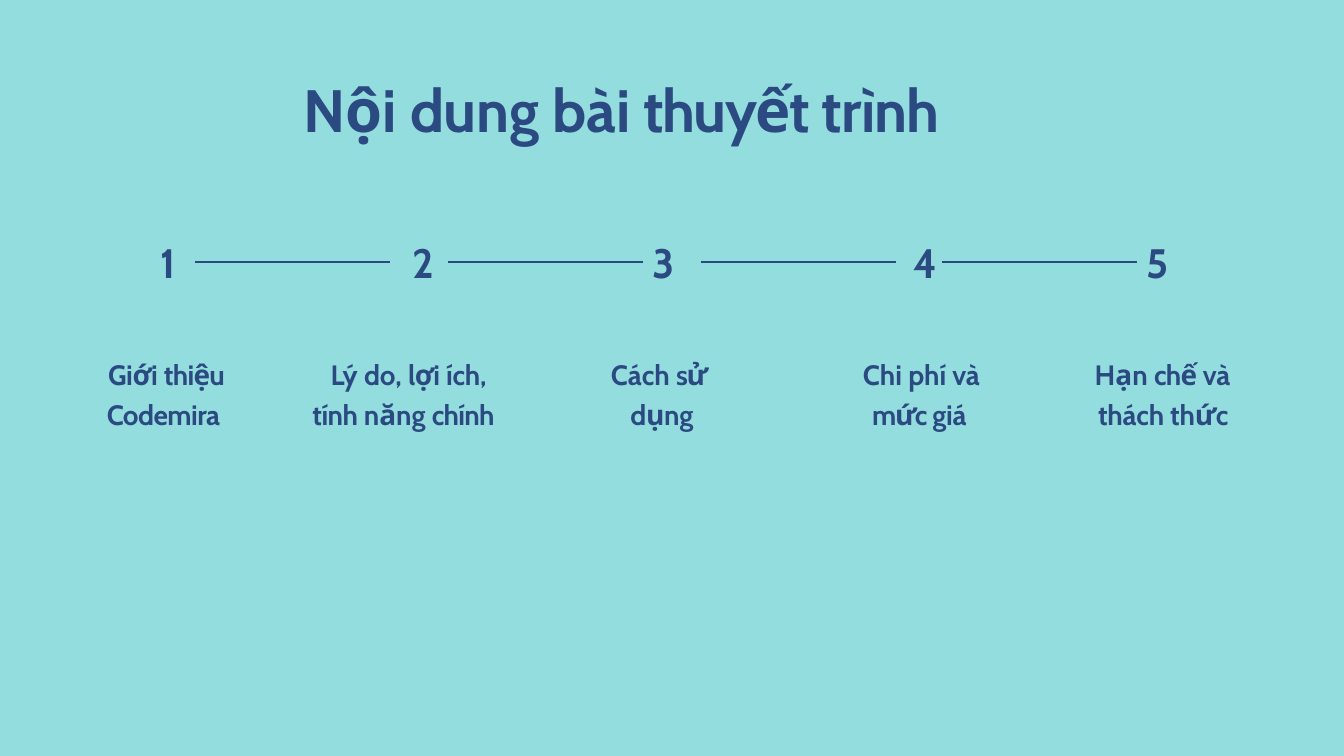
"""Build the agenda slide: a title over a five-step numbered timeline."""
from dataclasses import dataclass

from lxml.etree import SubElement
from pptx import Presentation
from pptx.dml.color import RGBColor as Color
from pptx.enum.shapes import MSO_CONNECTOR as Connector
from pptx.enum.text import MSO_AUTO_SIZE as AutoSize
from pptx.oxml.ns import qn
from pptx.util import Inches, Pt


@dataclass(frozen=True)
class Theme:
    """Colours, font and type sizes of the slide."""
    background: Color = Color.from_string("94DDDE")
    ink: Color = Color.from_string("2A4A81")
    font: str = "Cabin"
    title_size: int = 64
    number_size: int = 44
    label_size: int = 30
    line_width: float = 2.25


@dataclass(frozen=True)
class Step:
    """One timeline step, with its places in grid columns."""
    number_left: float
    label_left: float
    label_width: float
    margin: float
    indent: float
    runs: tuple


THEME = Theme()
COLUMNS, ROWS = 20, 11.25
CELL = Inches(1)
TITLE_ROW, NUMBER_ROW, LINE_ROW, LABEL_ROW = 1.08, 3.53, 3.9, 5.23
LINE_LENGTH = 2.9
LINE_STARTS = (2.9, 6.67, 10.43, 14.02)
TITLE = (("Nội ", -0.2), ("dung ", -0.3), ("bài ", 0), ("thuyết ", -1.7), ("trình", -0.8))
STEPS = (
    Step(2.38, 1.58, 2, 0.01, 0.02,
         (("Giới ", -0.4), ("thiệu ", -0.7), ("Codemira", -0.6))),
    Step(6.13, 4.64, 3.18, 0.01, 0.27,
         (("Lý ", 0), ("do, ", -0.2), ("lợi ", -0.5), ("ích, ", -0.2),
          ("tính ", -0.6), ("năng ", 0), ("chính", -0.8))),
    Step(9.7, 9.08, 1.63, 0.3, -0.29,
         (("Cách ", 0), ("sử ", -1.4), ("dụng", -0.2))),
    Step(13.59, 12.82, 2.04, 0.16, -0.14,
         (("Chi ", 0), ("phí ", -0.1), ("và ", -0.3), ("mức ", -1.5), ("giá", -0.2))),
    Step(17.05, 16.28, 2.29, 0.06, -0.05,
         (("Hạn ", 0), ("chế ", -0.7), ("và thách thức", -0.2))),
)


def grid(cells):
    """Turn a count of grid cells into a length."""
    return int(cells * CELL)


def add_run(paragraph, text, size, tracking):
    """Add one bold run with its letter spacing in points."""
    run = paragraph.add_run()
    run.text = text
    run.font.name = THEME.font
    run.font.size = Pt(size)
    run.font.bold = True
    run.font.color.rgb = THEME.ink
    run.font._element.set("spc", str(round(tracking * 100)))


def add_text(slide, box, runs, size, margin=0.01, indent=0, line_spacing=1.0):
    """Add a wrapped text box holding one paragraph."""
    shape = slide.shapes.add_textbox(*map(grid, box))
    frame = shape.text_frame
    frame.word_wrap = True
    frame.auto_size = AutoSize.SHAPE_TO_FIT_TEXT
    frame.margin_left = frame.margin_right = frame.margin_bottom = 0
    frame.margin_top = grid(0.01)
    paragraph = frame.paragraphs[0]
    paragraph.space_before = Pt(1)
    paragraph.line_spacing = line_spacing
    properties = paragraph._p.get_or_add_pPr()
    properties.set("marL", str(grid(margin)))
    properties.set("indent", str(grid(indent)))
    for text, tracking in runs:
        add_run(paragraph, text, size, tracking)


def add_line(slide, start):
    """Add one horizontal line between two step numbers."""
    ends = (start, LINE_ROW, start + LINE_LENGTH, LINE_ROW)
    connector = slide.shapes.add_connector(Connector.STRAIGHT, *map(grid, ends))
    connector.line.color.rgb = THEME.ink
    connector.line.width = Pt(THEME.line_width)
    SubElement(connector._element.spPr, qn("a:effectLst"))


def add_step(slide, number, step):
    """Add the number and the label of one step."""
    add_text(slide, (step.number_left, NUMBER_ROW, 0.4, 0.76),
             ((str(number), -1.6),), THEME.number_size)
    add_text(slide, (step.label_left, LABEL_ROW, step.label_width, 1.19),
             step.runs, THEME.label_size, step.margin, step.indent, 1.17)


def main():
    """Build and save the presentation."""
    presentation = Presentation()
    presentation.slide_width = grid(COLUMNS)
    presentation.slide_height = grid(ROWS)
    slide = presentation.slides.add_slide(presentation.slide_layouts[6])
    slide.background.fill.solid()
    slide.background.fill.fore_color.rgb = THEME.background
    add_text(slide, (4.51, TITLE_ROW, 10.87, 1.09), TITLE, THEME.title_size)
    for number, step in enumerate(STEPS, start=1):
        add_step(slide, number, step)
    for start in LINE_STARTS:
        add_line(slide, start)
    presentation.save("out.pptx")


if __name__ == "__main__":
    main()
